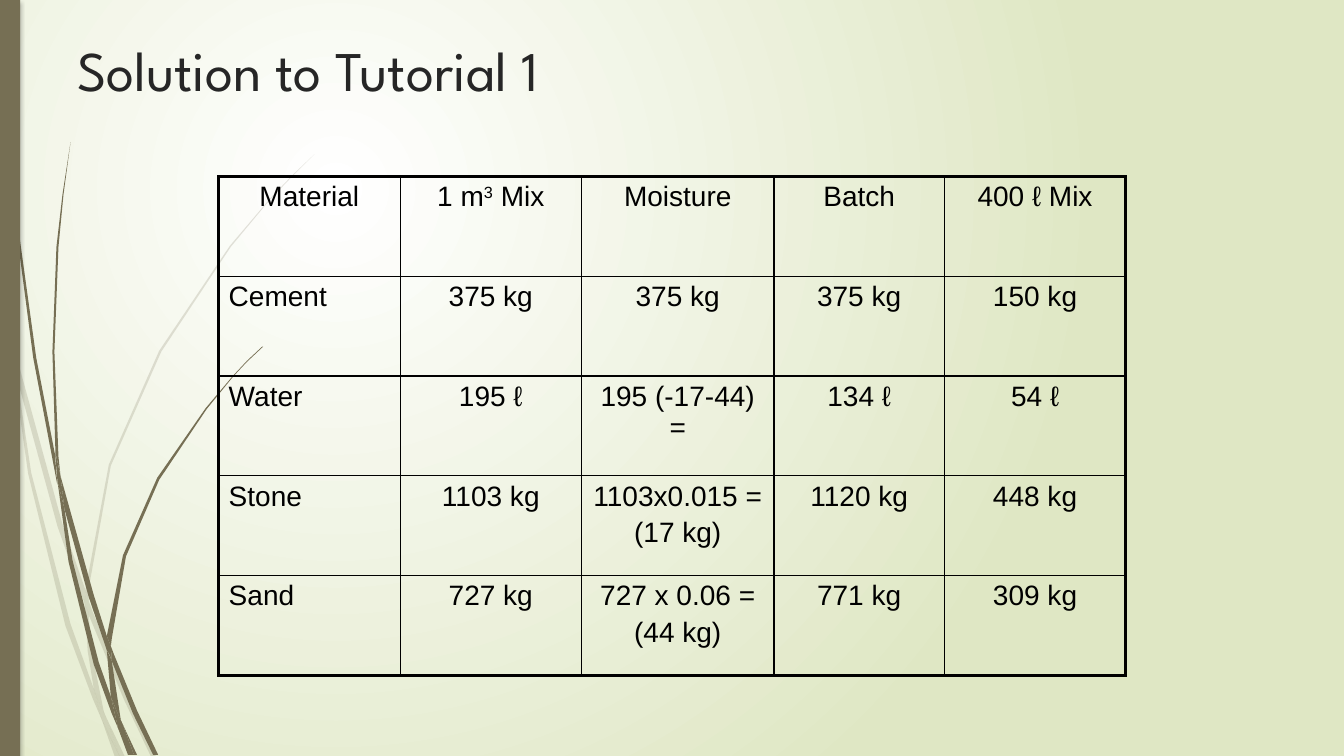
from lxml import etree
from pptx import Presentation
from pptx import util as u
from pptx.dml.color import RGBColor
from pptx.enum import shapes, text
from pptx.oxml import parse_xml
from pptx.oxml.ns import nsdecls, qn

TITLE = "Solution to Tutorial 1"
ROWS = [
    ["Material", "1 m^3^ Mix", "Moisture", "Batch", "400 ℓ Mix"],
    ["Cement", "375 kg", "375 kg", "375 kg", "150 kg"],
    ["Water", "195 ℓ", "195 (-17-44) =", "134 ℓ", "54 ℓ"],
    ["Stone", "1103 kg", "1103x0.015 =\n(17 kg)", "1120 kg", "448 kg"],
    ["Sand", "727 kg", "727 x 0.06 =\n(44 kg)", "771 kg", "309 kg"],
]
COL_WIDTHS = [129.6, 129.6, 137.5, 121.7, 129.6]
ROW_HEIGHT = 71.28
TABLE_LEFT, TABLE_TOP = 156.2, 126
OUTER, INNER = 2.21, 0.96
BROWN, BLACK = "766F54", "000000"
GRASS_UNIT = 0.72
PALE_GRASS = [
    [(11, 350), (8, 322), (0, 282), (0, 299), (10, 344)],
    [(57, 522), (84, 599), (85, 586), (62, 520), (14, 345), (17, 376)],
    [(92, 607), (88, 596), (88, 610), (123, 694), (150, 751), (155, 751), (127, 691)],
    [(119, 751), (124, 751), (105, 711)],
    [(93, 683), (70, 619), (31, 469), (17, 376), (11, 350), (28, 470), (65, 621),
     (92, 693), (101, 714), (99, 707)],
    [(84, 599), (87, 646), (93, 683), (96, 692), (105, 711), (103, 706), (91, 646),
     (88, 610), (88, 608)],
    [(88, 584), (110, 462), (160, 349), (229, 245), (268, 198), (290, 175), (312, 153),
     (289, 175), (268, 197), (228, 244), (158, 348), (108, 461), (85, 584), (85, 586),
     (88, 596)],
    [(101, 714), (114, 751), (119, 751)],
    [(88, 608), (88, 610), (88, 596), (85, 586), (84, 599)],
    [(96, 692), (93, 683), (99, 707), (101, 714), (119, 751), (105, 711)],
]
DARK_GRASS = [
    [(7, 110), (17, 233), (33, 355), (56, 476), (57, 481), (55, 457), (55, 453),
     (36, 355), (19, 232), (8, 109), (5, 48), (4, 0), (3, 0), (4, 48)],
    [(88, 592), (106, 645), (106, 633), (106, 631), (93, 590), (60, 472), (64, 505)],
    [(113, 649), (110, 641), (111, 656), (132, 708), (152, 749), (157, 749), (136, 705)],
    [(110, 691), (98, 657), (72, 556), (64, 505), (57, 477), (68, 557), (93, 659),
     (111, 708), (117, 722), (116, 717)],
    [(60, 472), (58, 453), (54, 349), (58, 245), (63, 193), (70, 141), (62, 193),
     (56, 245), (52, 349), (55, 449), (60, 471)],
    [(133, 749), (136, 749), (122, 719)],
    [(57, 477), (64, 505), (60, 472), (55, 449), (55, 453)],
    [(111, 633), (125, 552), (158, 476), (205, 406), (231, 374), (245, 359), (261, 344),
     (260, 344), (245, 358), (231, 373), (204, 405), (156, 474), (122, 551), (106, 631),
     (110, 641)],
    [(117, 722), (127, 749), (131, 749)],
    [(106, 645), (110, 691), (116, 706), (122, 719), (120, 715), (111, 656), (109, 651)],
    [(106, 645), (109, 650), (111, 656), (110, 641), (106, 631), (106, 633)],
    [(116, 706), (110, 691), (116, 717), (117, 722), (130, 749), (133, 749), (122, 719)],
]


def rgb(value):
    return RGBColor.from_string(value)


def add_background(s):
    stops = "".join(
        f'<a:gs pos="{pos}"><a:srgbClr val="{color}"/></a:gs>'
        for pos, color in [(0, "FFFFFF"), (100000, "DFE7C4")])
    s._element.cSld.insert(0, parse_xml(
        f'<p:bg {nsdecls("p", "a")}><p:bgPr><a:gradFill rotWithShape="1">'
        f'<a:gsLst>{stops}</a:gsLst><a:path path="circle">'
        '<a:fillToRect l="25000" t="25000" r="75000" b="75000"/></a:path>'
        '</a:gradFill><a:effectLst/></p:bgPr></p:bg>'))


def paint(sp, color, opacity=100):
    sp.shadow.inherit = False
    sp.fill.solid()
    sp.fill.fore_color.rgb = rgb(color)
    sp.line.fill.background()
    if opacity < 100:
        clr = sp._element.spPr.find(qn("a:solidFill"))[0]
        etree.SubElement(clr, qn("a:alpha"), val=str(opacity * 1000))


def add_grass(s, blades, opacity):
    group = s.shapes.add_group_shape()
    for start, *rest in blades:
        builder = group.shapes.build_freeform(*start, scale=u.Pt(GRASS_UNIT))
        builder.add_line_segments(rest, close=True)
        paint(builder.convert_to_shape(), BROWN, opacity)


def add_side_bar(s, height):
    sp = s.shapes.add_shape(shapes.MSO_SHAPE.RECTANGLE, 0, 0, u.Pt(14.4), height)
    paint(sp, BROWN)
    sp._element.spPr.find(qn("a:effectLst")).append(parse_xml(
        f'<a:outerShdw {nsdecls("a")} blurRad="{u.Pt(3)}" dist="{u.Pt(2)}" '
        f'dir="5400000" rotWithShape="0"><a:srgbClr val="{BLACK}">'
        '<a:alpha val="25000"/></a:srgbClr></a:outerShdw>'))


def style(p, font, size, color):
    p.font.name = font
    p.font.size = u.Pt(size)
    p.font.color.rgb = rgb(color)


def add_title(s):
    sp = s.shapes.add_textbox(u.Pt(48), u.Pt(21.6), u.Pt(864), u.Pt(90))
    tf = sp.text_frame
    tf.word_wrap = True
    tf.text = TITLE
    style(tf.paragraphs[0], "League Spartan", 40, "262626")


def set_borders(cell, widths):
    tcPr = cell._tc.get_or_add_tcPr()
    for i, (side, width) in enumerate(zip("LRTB", widths)):
        tcPr.insert(i, parse_xml(
            f'<a:ln{side} {nsdecls("a")} w="{u.Pt(width)}"><a:solidFill>'
            f'<a:srgbClr val="{BLACK}"/></a:solidFill></a:ln{side}>'))


def fill_cell(cell, content, centred):
    tf = cell.text_frame
    for i, line in enumerate(content.split("\n")):
        p = tf.add_paragraph() if i else tf.paragraphs[0]
        if i:
            p.space_before = u.Pt(4)
        p.alignment = text.PP_ALIGN.CENTER if centred else text.PP_ALIGN.LEFT
        style(p, "Arial", 20, BLACK)
        for j, part in enumerate(line.split("^")):
            r = p.add_run()
            r.text = part
            if j % 2:
                r.font._element.set("baseline", "30000")


def add_mix_table(s):
    n_rows, n_cols = len(ROWS), len(COL_WIDTHS)
    table = s.shapes.add_table(
        n_rows, n_cols, u.Pt(TABLE_LEFT), u.Pt(TABLE_TOP),
        u.Pt(sum(COL_WIDTHS)), u.Pt(ROW_HEIGHT * n_rows)).table
    table.first_row = table.horz_banding = False
    for column, width in zip(table.columns, COL_WIDTHS):
        column.width = u.Pt(width)
    for i, row in enumerate(ROWS):
        table.rows[i].height = u.Pt(ROW_HEIGHT)
        for j, content in enumerate(row):
            cell = table.cell(i, j)
            cell.fill.background()
            fill_cell(cell, content, i == 0 or j > 0)
            edges = (j == 0, j == n_cols - 1, i == 0, i == n_rows - 1)
            set_borders(cell, [OUTER if edge else INNER for edge in edges])


def main():
    prs = Presentation()
    prs.slide_width, prs.slide_height = u.Pt(960), u.Pt(540)
    s = prs.slides.add_slide(prs.slide_layouts[6])
    add_background(s)
    add_grass(s, PALE_GRASS, 20)
    add_grass(s, DARK_GRASS, 100)
    add_side_bar(s, prs.slide_height)
    add_title(s)
    add_mix_table(s)
    prs.save("out.pptx")


if __name__ == "__main__":
    main()
